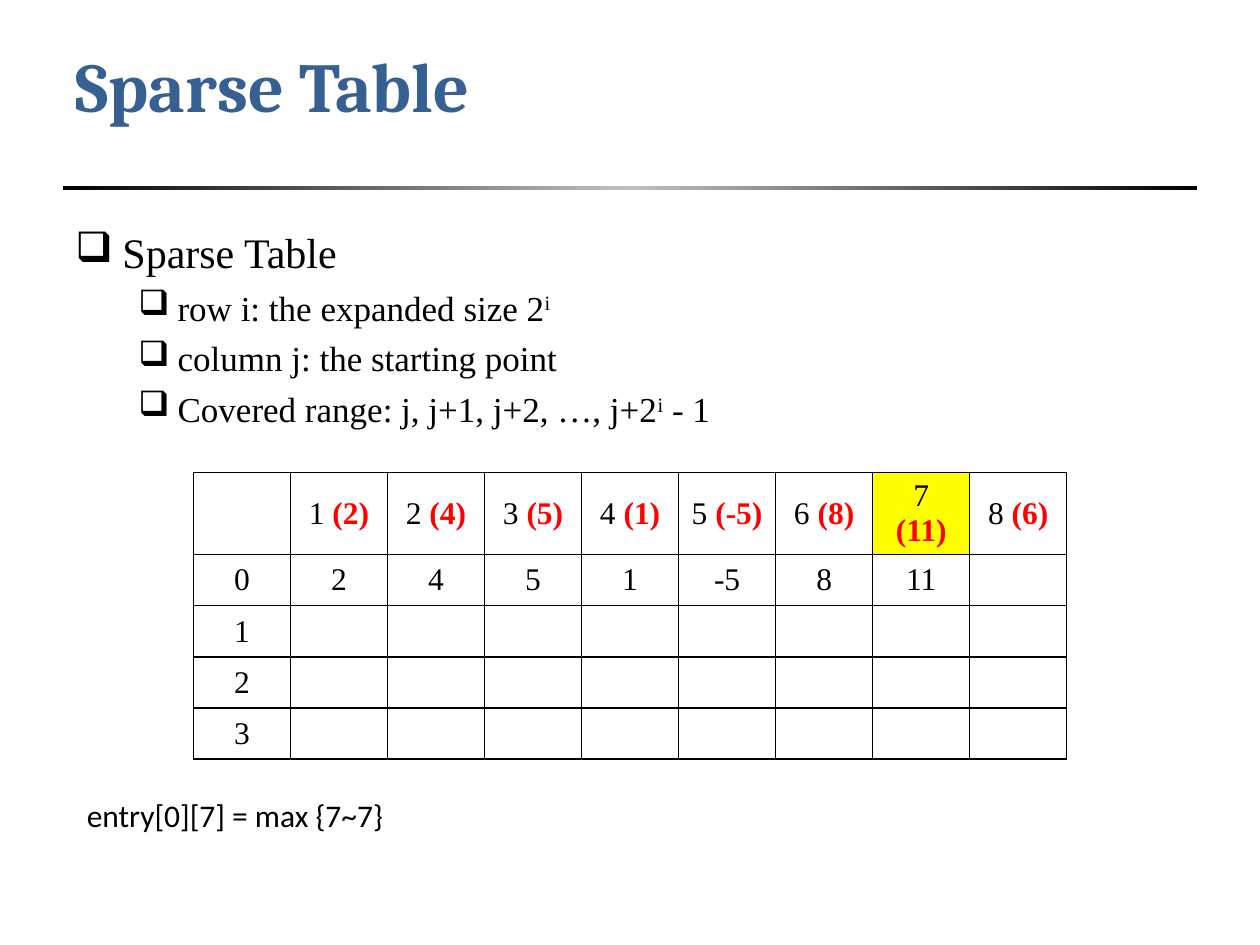
"""Build the sparse table slide with its outline, grid and current entry."""
from copy import deepcopy
from dataclasses import dataclass

from lxml.etree import SubElement
from pptx import Presentation
from pptx.dml.color import RGBColor as Rgb
from pptx.enum.shapes import MSO_SHAPE as Shape
from pptx.enum.text import MSO_ANCHOR as Anchor, MSO_AUTO_SIZE as AutoSize, PP_ALIGN as Align
from pptx.oxml.ns import qn
from pptx.util import Cm, Pt

TITLE = "Sparse Table"
OUTLINE = [
    (0, [("Sparse Table", False)]),
    (1, [("row i: the expanded size 2", False), ("i", True)]),
    (1, [("column j: the starting point", False)]),
    (1, [("Covered range: j, j+1, j+2, …, j+2", False), ("i", True), (" - 1", False)]),
]
VALUES = [2, 4, 5, 1, -5, 8, 11, 6]
LEVELS = 4
CURRENT = 7
ENTRY = "entry[0][7] = max {7~7}"


@dataclass(frozen=True)
class Theme:
    title: Rgb = Rgb(0x37, 0x60, 0x92)
    ink: Rgb = Rgb(0, 0, 0)
    silver: Rgb = Rgb(0xC0, 0xC0, 0xC0)
    value: Rgb = Rgb(0xFF, 0, 0)
    highlight: Rgb = Rgb(0xFF, 0xFF, 0)
    heading_font: str = "Cambria"
    body_font: str = "Times New Roman"
    note_font: str = "Calibri"
    title_size: int = 40
    outline_sizes: tuple = (24, 20)
    text_size: int = 18


THEME = Theme()
INDENTS = [(Cm(0.95), Cm(0.95)), (Cm(2.06), Cm(0.79))]


def style(span, font, size, color=THEME.ink, bold=False):
    span.font.name, span.font.size = font, Pt(size)
    span.font.color.rgb, span.font.bold = color, bold


def add_span(para, text, *look):
    span = para.add_run()
    span.text = text
    style(span, *look)
    return span


def add_title(slide):
    title = slide.shapes.title
    title.left, title.top, title.width, title.height = Cm(1.27), Cm(0.76), Cm(22.86), Cm(1.88)
    title.text_frame.text = TITLE
    title.text_frame.vertical_anchor = Anchor.MIDDLE
    para = title.text_frame.paragraphs[0]
    para.alignment = Align.LEFT
    style(para.runs[0], THEME.heading_font, THEME.title_size, THEME.title, True)


def add_rule(slide):
    rule = slide.shapes.add_shape(Shape.RECTANGLE, Cm(1.27), Cm(3.76), Cm(22.86), Cm(0.08))
    rule.shadow.inherit = False
    rule.line.fill.background()
    rule.fill.gradient()
    rule.fill.gradient_angle = 0
    stops = next(rule._element.spPr.iter(qn("a:gsLst")))
    stops.append(deepcopy(stops[-1]))
    looks = [(0, THEME.ink), (0.5, THEME.silver), (1, THEME.ink)]
    for stop, (position, color) in zip(rule.fill.gradient_stops, looks):
        stop.position, stop.color.rgb = position, color


def add_outline(slide):
    box = slide.shapes.add_textbox(Cm(1.27), Cm(4.45), Cm(22.86), Cm(5.89))
    frame = box.text_frame
    frame.word_wrap = True
    for index, (level, spans) in enumerate(OUTLINE):
        para = frame.add_paragraph() if index else frame.paragraphs[0]
        para.level = level
        if index:
            para.space_before = Pt(5)
        margin, hanging = INDENTS[level]
        properties = para._p.get_or_add_pPr()
        properties.set("marL", str(margin))
        properties.set("indent", str(-hanging))
        SubElement(properties, qn("a:buChar")).set("char", "❑")
        for text, raised in spans:
            span = add_span(para, text, THEME.body_font, THEME.outline_sizes[level])
            if raised:
                span._r.get_or_add_rPr().set("baseline", "30000")


def add_borders(cell):
    properties = cell._tc.get_or_add_tcPr()
    for side in ("lnL", "lnR", "lnT", "lnB"):
        line = SubElement(properties, qn(f"a:{side}"), w=str(Pt(1)))
        fill = SubElement(line, qn("a:solidFill"))
        SubElement(fill, qn("a:srgbClr"), val=str(THEME.ink))


def cell_spans(row, column):
    plain = (THEME.body_font, THEME.text_size)
    if row == 0 and column:
        return [(f"{column} ", *plain), (f"({VALUES[column - 1]})", *plain, THEME.value, True)]
    if row and column == 0:
        return [(str(row - 1), *plain)]
    if row == 1 and column <= CURRENT:
        return [(str(VALUES[column - 1]), *plain)]
    return []


def add_grid(slide):
    rows, columns = LEVELS + 1, len(VALUES) + 1
    width, height = Cm(1.956), Cm(1.03)
    grid = slide.shapes.add_table(
        rows, columns, Cm(3.9), Cm(9.52), width * columns, height * rows).table
    grid.first_row = grid.horz_banding = False
    for column in range(columns):
        grid.columns[column].width = width
        for row in range(rows):
            cell = grid.cell(row, column)
            add_borders(cell)
            if (row, column) == (0, CURRENT):
                cell.fill.solid()
                cell.fill.fore_color.rgb = THEME.highlight
            else:
                cell.fill.background()
            cell.vertical_anchor = Anchor.MIDDLE
            para = cell.text_frame.paragraphs[0]
            para.alignment = Align.CENTER
            for span in cell_spans(row, column):
                add_span(para, *span)


def add_entry(slide):
    box = slide.shapes.add_textbox(Cm(1.5), Cm(15.93), Cm(17.4), Cm(1.02))
    box.text_frame.word_wrap = True
    box.text_frame.auto_size = AutoSize.SHAPE_TO_FIT_TEXT
    add_span(box.text_frame.paragraphs[0], ENTRY, THEME.note_font, THEME.text_size)


def main():
    deck = Presentation()
    deck.slide_width, deck.slide_height = Cm(25.4), Cm(19.05)
    slide = deck.slides.add_slide(deck.slide_layouts.get_by_name("Title Only"))
    for add_part in (add_rule, add_title, add_grid, add_outline, add_entry):
        add_part(slide)
    deck.save("out.pptx")


if __name__ == "__main__":
    main()
